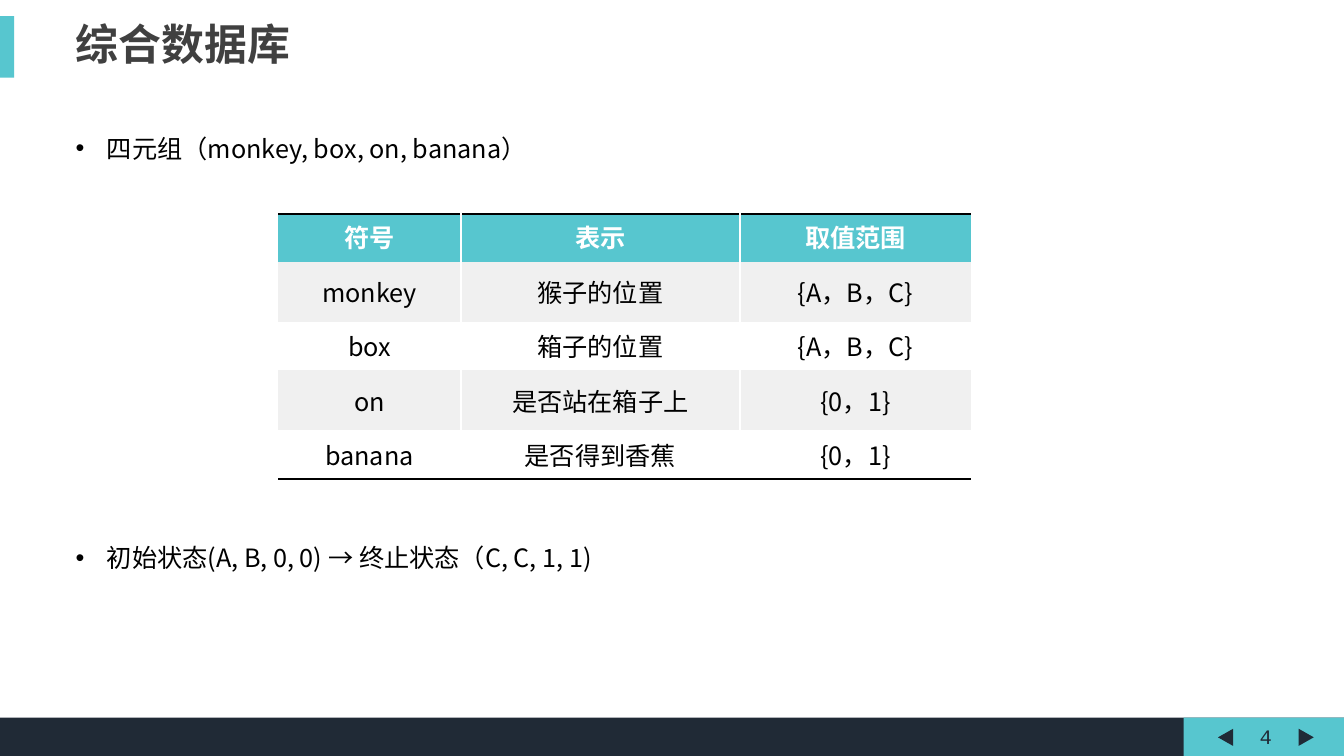
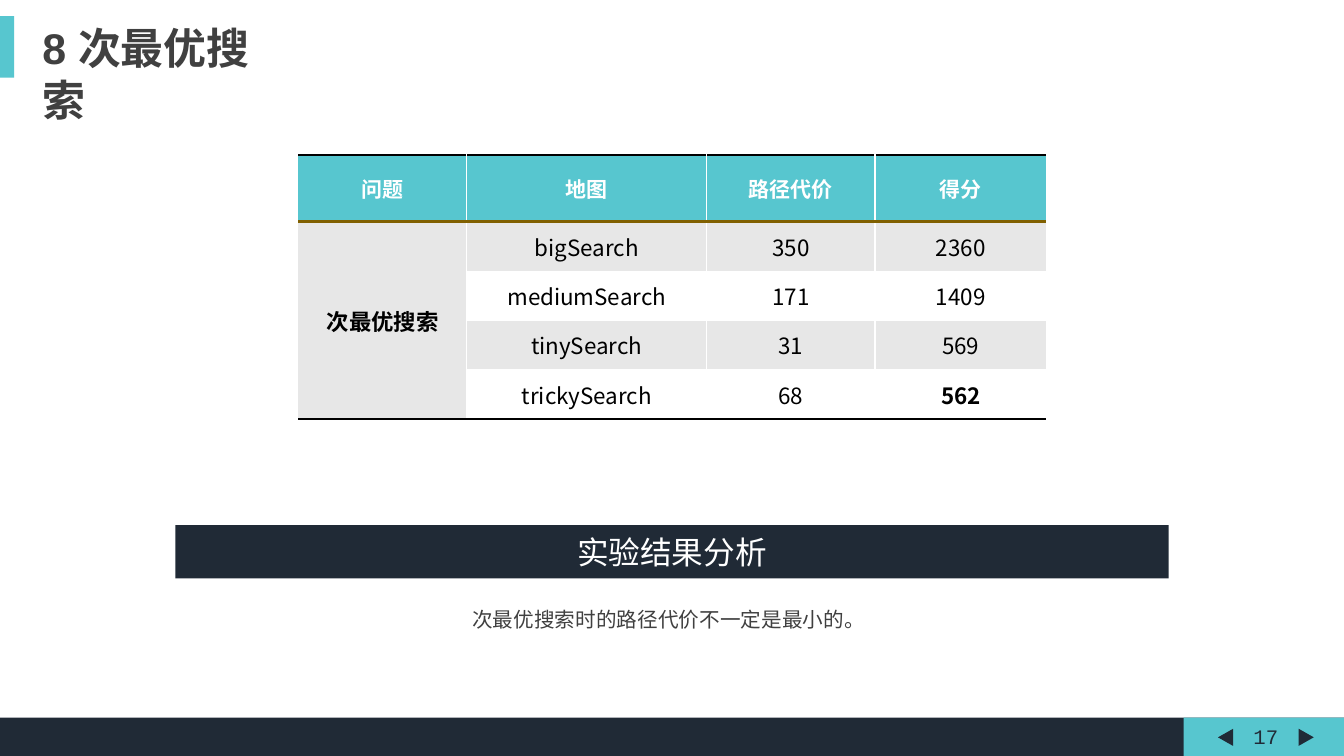
import pptx
import pptx.dml.color
import pptx.enum.shapes
import pptx.enum.text
import pptx.oxml
import pptx.oxml.ns
import pptx.util

Inches = pptx.util.Inches
Pt = pptx.util.Pt
RGBColor = pptx.dml.color.RGBColor
SHAPE = pptx.enum.shapes.MSO_SHAPE
ALIGN = pptx.enum.text.PP_ALIGN
ANCHOR = pptx.enum.text.MSO_ANCHOR
qn = pptx.oxml.ns.qn

COLORS = {
    "navy": "202A36",
    "teal": "57C6CF",
    "white": "FFFFFF",
    "black": "000000",
    "gray": "404040",
    "brown": "806000",
    "pale": "F0F0F0",
    "silver": "E7E7E7",
}
SANS = "Noto Sans CJK SC"
NO_TABLE_STYLE = "{2D5ABB26-0587-4C30-8999-92F81FD0307C}"

TITLE = {"size": 30.6, "color": "gray", "bold": True, "name": "Arial", "align": ALIGN.LEFT}
BULLET = {"size": 18, "align": ALIGN.LEFT, "anchor": ANCHOR.MIDDLE}
BANNER = {"size": 22.6, "color": "white", "anchor": ANCHOR.MIDDLE}
CAPTION = {"size": 14.7, "color": "gray", "line_spacing": 1.2}
PAGE_NUMBER = {"size": 14.7, "color": "navy", "name": "Courier New", "anchor": ANCHOR.MIDDLE}


def write_text(frame, text, size, color="black", bold=False, name=SANS,
               align=ALIGN.CENTER, anchor=ANCHOR.TOP, line_spacing=None):
    frame.text = text
    frame.word_wrap = True
    frame.auto_size = pptx.enum.text.MSO_AUTO_SIZE.NONE
    frame.vertical_anchor = anchor
    paragraph = frame.paragraphs[0]
    paragraph_format = {"alignment": align, "line_spacing": line_spacing, "space_before": Pt(0)}
    for attribute, value in paragraph_format.items():
        setattr(paragraph, attribute, value)
    font = paragraph.runs[0].font
    for attribute, value in {"size": Pt(size), "bold": bold, "name": name}.items():
        setattr(font, attribute, value)
    font.color.rgb = RGBColor.from_string(COLORS[color])
    east_asian = pptx.oxml.parse_xml(f'<a:ea {pptx.oxml.ns.nsdecls("a")} typeface="{SANS}"/>')
    font._element.find(qn("a:latin")).addnext(east_asian)


def add_filled(shapes, kind, box, color, rotation=0):
    shape = shapes.add_shape(kind, *map(Inches, box))
    shape.shadow.inherit = False
    shape.fill.solid()
    shape.fill.fore_color.rgb = RGBColor.from_string(COLORS[color])
    shape.line.fill.background()
    shape.rotation = rotation
    return shape


prs = pptx.Presentation()
prs.slide_width, prs.slide_height = Inches(13.33), Inches(7.5)

PAGES = [
    {
        "layout": 3,
        "title": "综合数据库",
        "title_box": (0.65, 0.12, 2.6, 0.62),
        "number": "4",
        "body": [
            ("四元组（monkey, box, on, banana）", (0.65, 1.27, 5.12, 0.4), BULLET),
            ("初始状态(A, B, 0, 0) → 终止状态（C, C, 1, 1)", (0.65, 5.33, 6.1, 0.4), BULLET),
        ],
        "table": {
            "corner": (2.76, 2.12),
            "columns": [1.81, 2.77, 2.29],
            "rows": [0.48, 0.59, 0.48, 0.6, 0.48],
            "band": "pale",
            "divider": 1.5,
            "rules": {0: ("black", 1.5), 5: ("black", 1.5)},
            "header": {"size": 18, "anchor": ANCHOR.TOP},
            "size": 18,
            "bold": [],
            "cells": [
                ["符号", "表示", "取值范围"],
                ["monkey", "猴子的位置", "{A，B，C}"],
                ["box", "箱子的位置", "{A，B，C}"],
                ["on", "是否站在箱子上", "{0，1}"],
                ["banana", "是否得到香蕉", "{0，1}"],
            ],
        },
    },
    {
        "layout": 1,
        "title": "8 次最优搜索",
        "title_box": (0.32, 0.16, 2.5, 0.62),
        "number": "17",
        "body": [("次最优搜索时的路径代价不一定是最小的。", (1.63, 5.94, 10, 0.37), CAPTION)],
        "banner": "实验结果分析",
        "table": {
            "corner": (2.96, 1.54),
            "columns": [1.67, 2.38, 1.67, 1.7],
            "rows": [0.66, 0.49, 0.49, 0.49, 0.49],
            "band": "silver",
            "divider": 1,
            "rules": {0: ("black", 2), 1: ("brown", 2.25), 2: ("white", 1),
                      3: ("white", 1), 4: ("white", 1), 5: ("black", 2)},
            "header": {"size": 15, "anchor": ANCHOR.MIDDLE},
            "size": 16,
            "bold": ["次最优搜索", "562"],
            "merge": ((1, 0), (4, 0)),
            "cells": [
                ["问题", "地图", "路径代价", "得分"],
                ["次最优搜索", "bigSearch", "350", "2360"],
                ["", "mediumSearch", "171", "1409"],
                ["", "tinySearch", "31", "569"],
                ["", "trickySearch", "68", "562"],
            ],
        },
    },
]

slides = [prs.slides.add_slide(prs.slide_layouts[page["layout"]]) for page in PAGES]

# Bands and page arrows live on the master, so every slide shows them.
for kind, box, color, rotation in [
    (SHAPE.RECTANGLE, (0, 7.12, 13.33, 0.38), "navy", 0),
    (SHAPE.RECTANGLE, (11.74, 7.12, 1.59, 0.38), "teal", 0),
    (SHAPE.ISOSCELES_TRIANGLE, (12.87, 7.24, 0.17, 0.15), "navy", 90),
    (SHAPE.ISOSCELES_TRIANGLE, (12.07, 7.24, 0.17, 0.15), "navy", 270),
    (SHAPE.RECTANGLE, (0, 0.16, 0.14, 0.61), "teal", 0),
]:
    decoration = add_filled(slides[0].shapes, kind, box, color, rotation)
    prs.slide_master.shapes.element.append(decoration.element)

for slide, page in zip(slides, PAGES):
    title = slide.shapes.title
    title.left, title.top, title.width, title.height = map(Inches, page["title_box"])
    write_text(title.text_frame, page["title"], line_spacing=Pt(37), **TITLE)

    bodies = [holder for holder in slide.placeholders if holder.placeholder_format.idx > 0]
    for body, (text, box, style) in zip(bodies, page["body"]):
        body.left, body.top, body.width, body.height = map(Inches, box)
        write_text(body.text_frame, text, **style)
        body.text_frame.margin_top = body.text_frame.margin_bottom = Inches(0.03)
        properties = body.text_frame.paragraphs[0]._p.get_or_add_pPr()
        indent = Inches(0.31) if style is BULLET else 0
        properties.set("marL", str(indent))
        properties.set("indent", str(-indent))
        marker = 'buChar char="•"' if style is BULLET else "buNone"
        properties.append(pptx.oxml.parse_xml(f'<a:{marker} {pptx.oxml.ns.nsdecls("a")}/>'))

    number = slide.shapes.add_textbox(*map(Inches, (12.33, 7.13, 0.45, 0.35)))
    write_text(number.text_frame, page["number"], **PAGE_NUMBER)
    number.text_frame.margin_left = number.text_frame.margin_right = 0

    if "banner" in page:
        banner = add_filled(slide.shapes, SHAPE.RECTANGLE, (1.74, 5.21, 9.85, 0.53), "navy")
        write_text(banner.text_frame, page["banner"], **BANNER)

    spec = page["table"]
    widths, heights = spec["columns"], spec["rows"]
    extent = (*spec["corner"], sum(widths), sum(heights))
    table = slide.shapes.add_table(len(heights), len(widths), *map(Inches, extent)).table
    table._tbl.tblPr.find(qn("a:tableStyleId")).text = NO_TABLE_STYLE
    for column, width in zip(table.columns, widths):
        column.width = Inches(width)
    for row, height in zip(table.rows, heights):
        row.height = Inches(height)
    if "merge" in spec:
        first, last = spec["merge"]
        table.cell(*first).merge(table.cell(*last))

    for r, texts in enumerate(spec["cells"]):
        for c, text in enumerate(texts):
            cell = table.cell(r, c)
            if cell.is_spanned:
                continue
            if r == 0:
                style = {"color": "white", "bold": True, **spec["header"]}
                fill = "teal"
            else:
                style = {"size": spec["size"], "bold": text in spec["bold"], "anchor": ANCHOR.MIDDLE}
                fill = spec["band"] if r % 2 else "white"
            anchor = style.pop("anchor")
            cell.text = text
            write_style = dict(style, name=SANS)
            run = cell.text_frame.paragraphs[0].runs[0]
            cell.text_frame.paragraphs[0].alignment = ALIGN.CENTER
            run.font.color.rgb = RGBColor.from_string(COLORS[write_style.pop("color", "black")])
            write_style["size"] = Pt(write_style["size"])
            for attribute, value in write_style.items():
                setattr(run.font, attribute, value)
            cell.vertical_anchor = anchor

            divider = ("white", spec["divider"])
            bottom = r + (cell.span_height if cell.is_merge_origin else 1)
            edges = {
                "lnL": divider if c > 0 else None,
                "lnR": divider if c < len(widths) - 1 else None,
                "lnT": spec["rules"].get(r),
                "lnB": spec["rules"].get(bottom),
            }
            for tag, edge in edges.items():
                if edge:
                    color, points = edge
                    cell._tc.get_or_add_tcPr().append(pptx.oxml.parse_xml(
                        f'<a:{tag} {pptx.oxml.ns.nsdecls("a")} w="{Pt(points)}"><a:solidFill>'
                        f'<a:srgbClr val="{COLORS[color]}"/></a:solidFill></a:{tag}>'))
            cell.fill.solid()
            cell.fill.fore_color.rgb = RGBColor.from_string(COLORS[fill])

prs.save("out.pptx")
